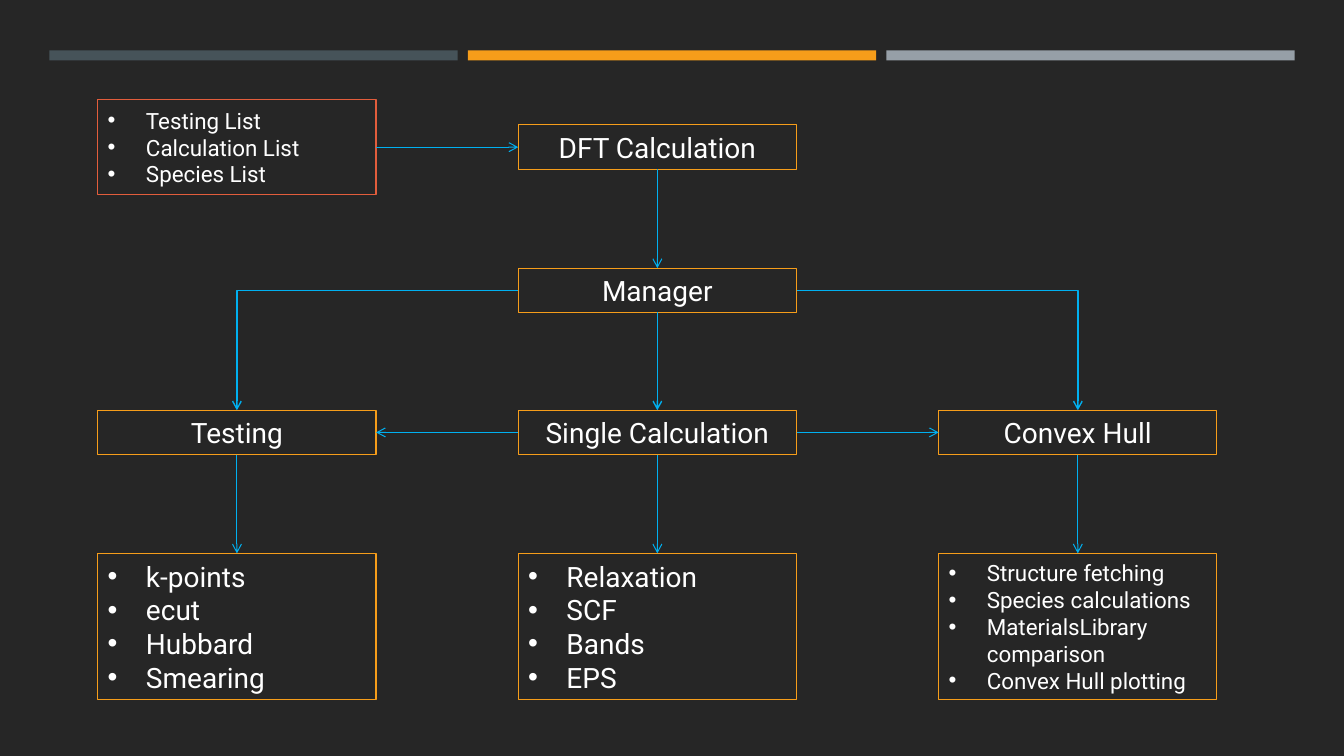
import pptx
import pptx.dml.color
import pptx.enum.shapes
import pptx.enum.text
import pptx.oxml
import pptx.oxml.ns
import pptx.util
from pptx.util import Inches, Pt

COLORS = {
    "background": "262626",
    "slate": "465359",
    "orange": "F69D1A",
    "grey": "969FA7",
    "red": "E25D3C",
    "arrow": "00B0F0",
    "text": "FFFFFF",
}
FONT = "Roboto"
COLUMNS = [0.97, 5.14, 9.31]
BOX_W, TITLE_H, LIST_H = 2.76, 0.44, 1.45
TOP, LEFT, BOTTOM, RIGHT = range(4)  # connection sites of a rectangle


def rgb(name):
    return pptx.dml.color.RGBColor.from_string(COLORS[name])


def sub(parent, tag, **attrs):
    """Append an XML child such as a:buChar."""
    el = pptx.oxml.parse_xml(f"<{tag} {pptx.oxml.ns.nsdecls('a')}/>")
    for key, value in attrs.items():
        el.set(key, value)
    parent.append(el)


def add_rect(slide, x, y, w, h):
    sp = slide.shapes.add_shape(pptx.enum.shapes.MSO_SHAPE.RECTANGLE,
                                Inches(x), Inches(y), Inches(w), Inches(h))
    sp.shadow.inherit = False
    return sp


def add_bar(slide, x, color):
    sp = add_rect(slide, x, 0.5, 4.05, 0.1)
    sp.fill.solid()
    sp.fill.fore_color.rgb = rgb(color)
    sp.line.fill.background()


def add_box(slide, x, y, h, lines, size=20, bullets=False, border="orange"):
    sp = add_rect(slide, x, y, BOX_W, h)
    sp.fill.background()
    sp.line.color.rgb = rgb(border)
    sp.line.width = Pt(0.75)
    tf = sp.text_frame
    tf.word_wrap = True
    tf.auto_size = pptx.enum.text.MSO_AUTO_SIZE.SHAPE_TO_FIT_TEXT
    align = pptx.enum.text.PP_ALIGN
    for i, line in enumerate(lines):
        p = tf.add_paragraph() if i else tf.paragraphs[0]
        p.alignment = align.LEFT if bullets else align.CENTER
        if bullets:
            pPr = p._p.get_or_add_pPr()
            pPr.set("marL", str(Inches(0.38)))
            pPr.set("indent", str(-Inches(0.38)))
            sub(pPr, "a:buFont", typeface="Arial")
            sub(pPr, "a:buChar", char="•")
        r = p.add_run()
        r.text = line
        r.font.name = FONT
        r.font.size = Pt(size)
        r.font.color.rgb = rgb("text")
    return sp


def add_arrow(slide, start, start_site, end, end_site, width=0.75, bent=False):
    kinds = pptx.enum.shapes.MSO_CONNECTOR
    cxn = slide.shapes.add_connector(kinds.ELBOW if bent else kinds.STRAIGHT, 0, 0, 0, 0)
    cxn.begin_connect(start, start_site)
    cxn.end_connect(end, end_site)
    cxn.line.color.rgb = rgb("arrow")
    cxn.line.width = Pt(width)
    spPr = cxn._element.spPr
    if bent:
        spPr.prstGeom.set("prst", "bentConnector2")
    sub(cxn.line._get_or_add_ln(), "a:tailEnd", type="arrow")
    sub(spPr, "a:effectLst")


def main():
    prs = pptx.Presentation()
    prs.slide_width, prs.slide_height = Inches(13.33), Inches(7.5)
    slide = prs.slides.add_slide(prs.slide_layouts[6])
    slide.background.fill.solid()
    slide.background.fill.fore_color.rgb = rgb("background")

    for i, color in enumerate(["slate", "orange", "grey"]):
        add_bar(slide, 0.49 + 4.15 * i, color)

    left, middle, _ = COLUMNS
    inputs = add_box(slide, left, 0.99, 0.94,
                     ["Testing List", "Calculation List", "Species List"],
                     size=16, bullets=True, border="red")
    calculation = add_box(slide, middle, 1.24, TITLE_H, ["DFT Calculation"])
    manager = add_box(slide, middle, 2.66, TITLE_H, ["Manager"])

    branches = [
        ("Testing", 20, ["k-points", "ecut", "Hubbard", "Smearing"]),
        ("Single Calculation", 20, ["Relaxation", "SCF", "Bands", "EPS"]),
        ("Convex Hull", 16, ["Structure fetching", "Species calculations",
                             "MaterialsLibrary comparison", "Convex Hull plotting"]),
    ]
    titles = []
    for x, (title, size, tasks) in zip(COLUMNS, branches):
        title_box = add_box(slide, x, 4.07, TITLE_H, [title])
        task_box = add_box(slide, x, 5.49, LIST_H, tasks, size=size, bullets=True)
        add_arrow(slide, title_box, BOTTOM, task_box, TOP)
        titles.append(title_box)
    testing, single, hull = titles

    add_arrow(slide, inputs, RIGHT, calculation, LEFT)
    add_arrow(slide, calculation, BOTTOM, manager, TOP)
    add_arrow(slide, manager, LEFT, testing, TOP, width=1, bent=True)
    add_arrow(slide, manager, BOTTOM, single, TOP, width=1)
    add_arrow(slide, manager, RIGHT, hull, TOP, width=1, bent=True)
    add_arrow(slide, single, LEFT, testing, RIGHT)
    add_arrow(slide, single, RIGHT, hull, LEFT)

    prs.save("out.pptx")


if __name__ == "__main__":
    main()
